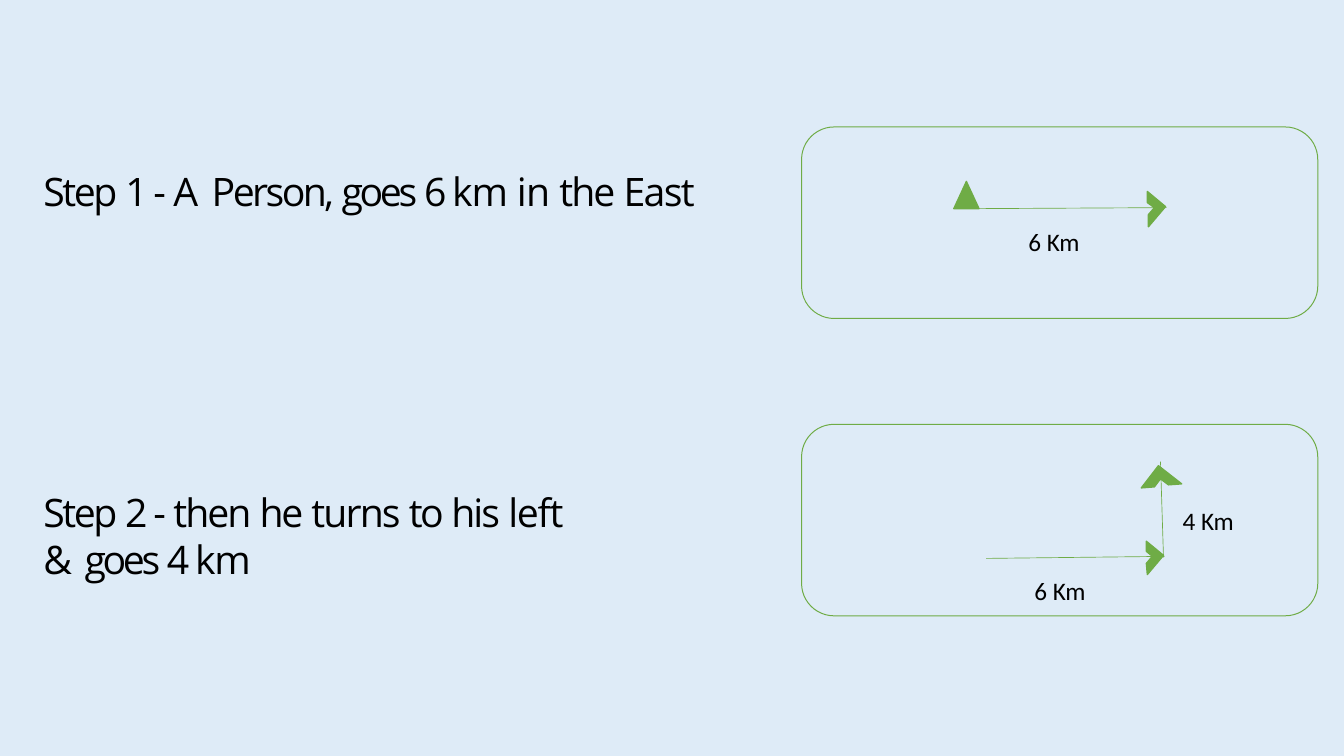
"""Build a slide that draws two steps of a direction-sense problem."""
from lxml import etree
from pptx import Presentation
from pptx.dml.color import RGBColor
from pptx.enum.shapes import MSO_CONNECTOR, MSO_SHAPE
from pptx.oxml.ns import qn
from pptx.util import Inches, Pt

SKY = RGBColor(0xDE, 0xEB, 0xF7)
GREEN = RGBColor(0x6F, 0xAC, 0x46)
BLACK = RGBColor(0, 0, 0)

prs = Presentation()
prs.slide_width, prs.slide_height = Inches(13.33), Inches(7.5)
slide = prs.slides.add_slide(prs.slide_layouts[6])
slide.background.fill.solid()
slide.background.fill.fore_color.rgb = SKY


def add_text(left, top, width, height, font_name, size, pieces):
    box = slide.shapes.add_textbox(Inches(left), Inches(top), Inches(width), Inches(height))
    frame = box.text_frame
    frame.word_wrap = True
    frame.margin_left = Inches(0.01)
    frame.margin_top = Inches(0.02)
    frame.margin_right = frame.margin_bottom = 0
    for words, spacing in pieces:
        run = frame.paragraphs[0].add_run()
        run.text = words
        run.font.name = font_name
        run.font.size = Pt(size)
        run.font.color.rgb = BLACK
        run.font._element.set("spc", str(round(spacing * 100)))


def paint_green(shape, line_width):
    shape.shadow.inherit = False
    shape.fill.solid()
    shape.fill.fore_color.rgb = GREEN
    shape.line.color.rgb = GREEN
    shape.line.width = Pt(line_width)


steps = [
    (1.64, 6.72, 0.49, [
        ("Step ", -1.7), ("1 ", -3.2), ("- ", -1.9), ("A ", 1.2), ("Person, ", -1.8),
        ("goes ", -2.4), ("6 ", -3.2), ("km ", -0.8), ("in ", -0.6), ("the ", -1.4),
        ("East", -1.2)]),
    (4.82, 5.37, 0.96, [
        ("Step ", -1.7), ("2 ", -3.2), ("- ", -1.9), ("then ", -1.4), ("he ", -1.6),
        ("turns ", -1.3), ("to ", -1.9), ("his ", -1.4), ("left ", -0.9), ("& ", 0.9),
        ("goes ", -2.4), ("4 ", -3.2), ("km", -0.8)]),
]
for top, width, height, pieces in steps:
    add_text(0.42, top, width, height, "Open Sans", 28, pieces)

for panel_top in (1.26, 4.21):
    panel = slide.shapes.add_shape(
        MSO_SHAPE.ROUNDED_RECTANGLE, Inches(7.95), Inches(panel_top), Inches(5.12), Inches(1.9))
    panel.adjustments[0] = 0.17
    paint_green(panel, 0.72)
    panel.fill.background()

person = slide.shapes.add_shape(
    MSO_SHAPE.ISOSCELES_TRIANGLE, Inches(9.46), Inches(1.8), Inches(0.25), Inches(0.27))
paint_green(person, 0.96)

walks = [
    (9.71, 2.07, 11.57, 2.06),
    (9.78, 5.54, 11.55, 5.52),
    (11.54, 5.53, 11.51, 4.58),
]
for walk in walks:
    path_line = slide.shapes.add_connector(
        MSO_CONNECTOR.STRAIGHT, *[Inches(value) for value in walk])
    path_line.line.color.rgb = GREEN
    path_line.line.width = Pt(0.48)
    etree.SubElement(path_line._element.spPr, qn("a:effectLst"))

arrowheads = [
    [(11.38, 1.9), (11.38, 2.01), (11.45, 2.06), (11.39, 2.13), (11.39, 2.25), (11.56, 2.05)],
    [(11.37, 5.37), (11.37, 5.47), (11.43, 5.52), (11.37, 5.59), (11.38, 5.7), (11.54, 5.51)],
    [(11.49, 4.62), (11.32, 4.84), (11.45, 4.83), (11.51, 4.75), (11.59, 4.81), (11.72, 4.8)],
]
for corners in arrowheads:
    start, *others = [(Inches(x), Inches(y)) for x, y in corners]
    outline = slide.shapes.build_freeform(*start)
    outline.add_line_segments(others, close=True)
    paint_green(outline.convert_to_shape(), 1)

for left, top, distance in [(10.19, 2.23, "6 "), (10.25, 5.69, "6 "), (11.72, 4.99, "4 ")]:
    add_text(left, top, 0.54, 0.33, "Calibri", 18, [(distance, 0), ("Km", -0.1)])

prs.save("out.pptx")
